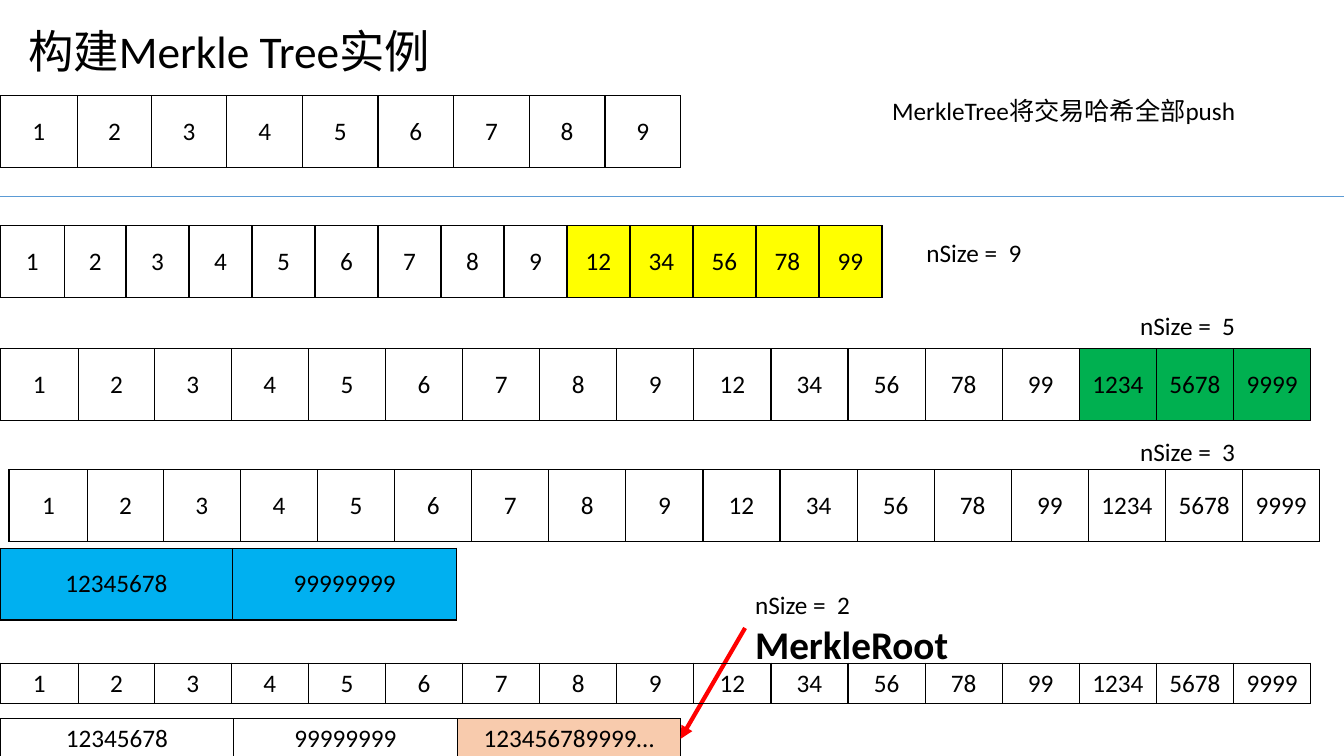
from lxml.etree import SubElement
from pptx import Presentation
from pptx.dml.color import RGBColor
from pptx.enum.shapes import MSO_CONNECTOR as Connector
from pptx.enum.text import MSO_ANCHOR as Anchor, PP_ALIGN as Align
from pptx.oxml.ns import qn
from pptx.util import Inches, Pt

COLORS = {
    "black": "000000",
    "yellow": "FFFF00",
    "green": "00B050",
    "blue": "00B0F0",
    "peach": "F8CBAD",
    "rule": "5B9BD5",
    "red": "FF0000",
}
BODY = {"name": "Calibri", "size": Pt(18), "bold": False}
TITLE = {**BODY, "size": Pt(32.4)}
ROOT = {**BODY, "size": Pt(28), "bold": True}

LEAVES = [str(number) for number in range(1, 10)]
PAIRS = ["12", "34", "56", "78", "99"]
QUADS = ["1234", "5678", "9999"]
OCTETS = ["12345678", "99999999"]
MERKLE_ROOT = ["123456789999…"]
TREE = LEAVES + PAIRS + QUADS


def color(name):
    return RGBColor.from_string(COLORS[name])


def write(para, text, style):
    span = para.add_run()
    span.text = text
    for key, value in style.items():
        setattr(span.font, key, value)
    span.font.color.rgb = color("black")


def add_label(page, box, lines, anchor=Anchor.TOP, spacing=1.0):
    frame = page.shapes.add_textbox(*map(Inches, box)).text_frame
    frame.word_wrap = True
    frame.vertical_anchor = anchor
    for index, (text, style) in enumerate(lines):
        para = frame.add_paragraph() if index else frame.paragraphs[0]
        para.line_spacing = spacing
        write(para, text, style)


def outline_cell(cell):
    properties = cell._tc.get_or_add_tcPr()
    for side in ("a:lnL", "a:lnR", "a:lnT", "a:lnB"):
        border = SubElement(properties, qn(side), w=str(Pt(1)))
        fill = SubElement(border, qn("a:solidFill"))
        SubElement(fill, qn("a:srgbClr"), val=COLORS["black"])


def add_hash_row(page, box, leading, labels, fresh=0, shade=None):
    table = page.shapes.add_table(1, len(labels), *map(Inches, box)).table
    table.first_row = table.horz_banding = False
    rest = len(labels) - len(leading)
    widths = leading + [(box[2] - sum(leading)) / max(rest, 1)] * rest
    for index, (label, width) in enumerate(zip(labels, widths)):
        table.columns[index].width = Inches(width)
        cell = table.cell(0, index)
        cell.vertical_anchor = Anchor.MIDDLE
        outline_cell(cell)
        if index >= len(labels) - fresh:
            cell.fill.solid()
            cell.fill.fore_color.rgb = color(shade)
        else:
            cell.fill.background()
        para = cell.text_frame.paragraphs[0]
        para.alignment = Align.CENTER
        write(para, label, BODY)


def add_line(page, start, end, shade, weight, arrow=False):
    line = page.shapes.add_connector(Connector.STRAIGHT, *map(Inches, start + end))
    line.line.color.rgb = color(shade)
    line.line.width = Pt(weight)
    if arrow:
        SubElement(line.line._get_or_add_ln(), qn("a:tailEnd"), type="triangle")
    SubElement(line._element.spPr, qn("a:effectLst"))


def add_transactions(page, top):
    add_hash_row(page, (0, top, 6.75, 0.71), [0.77, 0.73], LEAVES)
    add_label(page, (8.75, top - 0.05, 4.25, 0.4), [("MerkleTree将交易哈希全部push", BODY)])
    add_line(page, (-0.15, top + 1), (13.33, top + 1), "rule", 0.5)


def add_pair_level(page, top):
    add_hash_row(page, (0, top, 8.75, 0.71), [0.64, 0.61], LEAVES + PAIRS, len(PAIRS), "yellow")
    add_label(page, (9.09, top + 0.07, 4.25, 0.4), [("nSize =  9", BODY)])


def add_tree_row(page, left, top, height, fresh=0, shade=None):
    add_hash_row(page, (left, top, 13, height), [0.78, 0.75], TREE, fresh, shade)


def add_quad_level(page, top):
    add_tree_row(page, 0, top, 0.71, len(QUADS), "green")
    add_label(page, (11.21, top - 0.43, 4.25, 0.4), [("nSize =  5", BODY)])


def add_octet_level(page, top):
    add_tree_row(page, 0.09, top, 0.71)
    add_hash_row(page, (0, top + 0.78, 4.53, 0.71), [2.31], OCTETS, len(OCTETS), "blue")
    add_label(page, (11.21, top - 0.38, 4.25, 0.4), [("nSize =  3", BODY)])


def add_root_level(page, top):
    add_hash_row(page, (0, top + 0.55, 6.75, 0.4), [2.32], OCTETS + MERKLE_ROOT, 1, "peach")
    add_label(page, (7.39, top - 0.78, 4.25, 0.88), [("nSize =  2", BODY), ("MerkleRoot", ROOT)])
    add_line(page, (7.39, top - 0.35), (6.75, top + 0.75), "red", 3, arrow=True)
    add_tree_row(page, 0, top, 0.4)


def main():
    deck = Presentation()
    deck.slide_width, deck.slide_height = Inches(13.33), Inches(7.5)
    page = deck.slides.add_slide(deck.slide_layouts[6])
    add_label(page, (0.18, 0.26, 11.5, 0.55), [("构建Merkle Tree实例", TITLE)], Anchor.MIDDLE, 0.9)
    add_transactions(page, 0.95)
    add_pair_level(page, 2.24)
    add_quad_level(page, 3.46)
    add_octet_level(page, 4.66)
    add_root_level(page, 6.58)
    deck.save("out.pptx")


if __name__ == "__main__":
    main()
